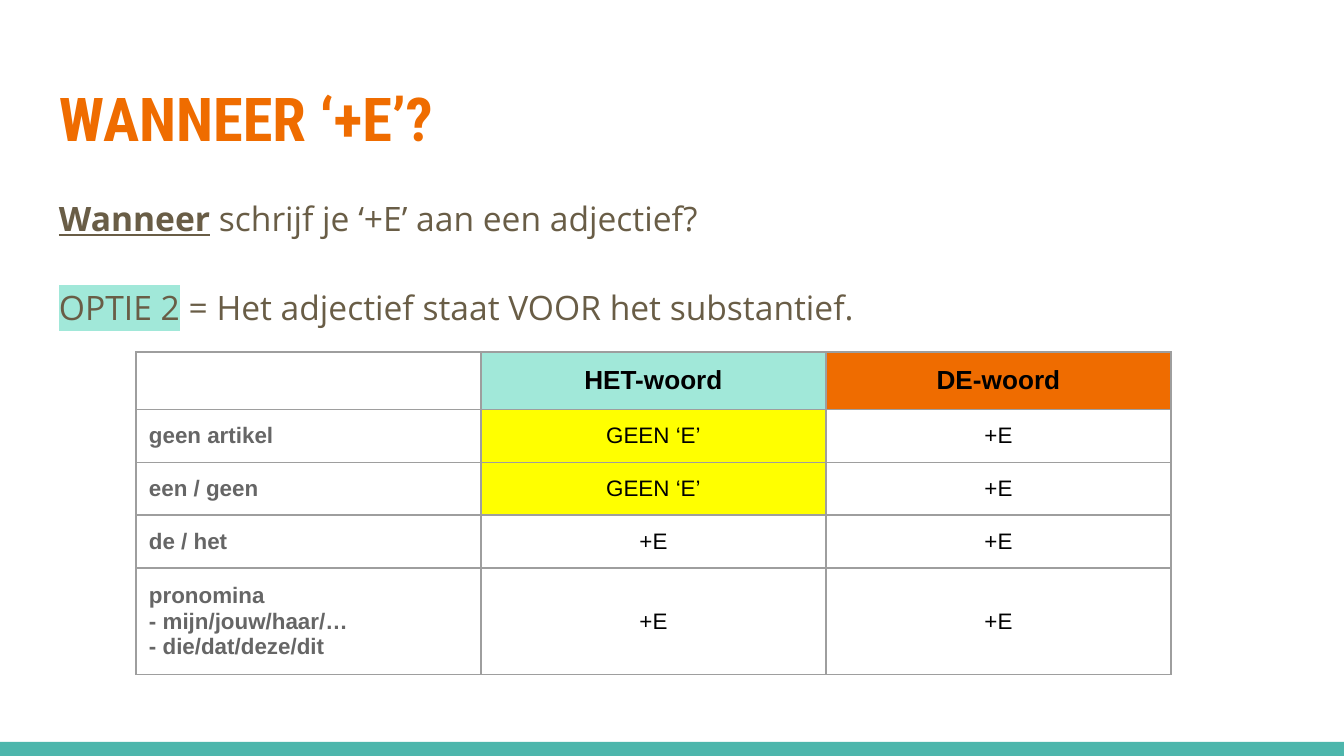
import lxml.etree
import pptx
import pptx.dml.color
import pptx.enum.shapes
import pptx.enum.text
import pptx.oxml
import pptx.oxml.ns
import pptx.util

W, H = 1344, 756
PX = 9144000 / W
PAD = 13
ORANGE, TEAL, MINT, YELLOW = "EF6C00", "4DB6AC", "A1E8D9", "FFFF00"
BROWN, GREY, BLACK, BORDER = "695D46", "666666", "000000", "9E9E9E"
LEFT, CENTER = pptx.enum.text.PP_ALIGN.LEFT, pptx.enum.text.PP_ALIGN.CENTER
MIDDLE = pptx.enum.text.MSO_ANCHOR.MIDDLE

HEADER = [("", None), ("HET-woord", MINT), ("DE-woord", ORANGE)]
ROWS = [
    ("geen artikel", "GEEN ‘E’", "+E"),
    ("een / geen", "GEEN ‘E’", "+E"),
    ("de / het", "+E", "+E"),
    ("pronomina\n- mijn/jouw/haar/…\n- die/dat/deze/dit", "+E", "+E"),
]
ROW_HEIGHTS = [56, 52, 52, 52, 102]


def px(n):
    return pptx.util.Emu(round(n * PX))


def rgb(color):
    return pptx.dml.color.RGBColor.from_string(color)


def sub(parent, tag, **attrs):
    return lxml.etree.SubElement(parent, pptx.oxml.ns.qn(tag), attrs)


def add_run(p, text, font, size, color, bold=False, underline=False, highlight=None):
    r = p.add_run()
    r.text = text
    r.font.size = pptx.util.Pt(size)
    r.font.bold = bold
    if underline:
        r.font.underline = True
    r.font.color.rgb = rgb(color)
    r.font.name = font
    if highlight:
        rpr = r._r.get_or_add_rPr()
        mark = sub(rpr, "a:highlight")
        sub(mark, "a:srgbClr", val=highlight)
        rpr.find(pptx.oxml.ns.qn("a:latin")).addprevious(mark)


def add_textbox(s, x, y, w, h):
    tf = s.shapes.add_textbox(px(x), px(y), px(w), px(h)).text_frame
    tf.word_wrap = True
    tf.margin_left = tf.margin_right = tf.margin_top = tf.margin_bottom = px(PAD)
    return tf


def add_footer_bar(s, x, y, w, h):
    sp = s.shapes.add_shape(pptx.enum.shapes.MSO_SHAPE.RECTANGLE, px(x), px(y), px(w), px(h))
    sp.shadow.inherit = False
    sp.fill.solid()
    sp.fill.fore_color.rgb = rgb(TEAL)
    sp.line.fill.background()


def add_title(s, x, y, w, h):
    tf = add_textbox(s, x, y, w, h)
    tf.vertical_anchor = MIDDLE
    add_run(tf.paragraphs[0], "WANNEER ‘+E’?", "Roboto Condensed", 32.4, ORANGE, bold=True)


def add_body(s, x, y, w, h):
    tf = add_textbox(s, x, y, w, h)
    style = ("Open Sans", 18, BROWN)
    p = tf.paragraphs[0]
    p.line_spacing = 1.15
    add_run(p, "Wanneer", *style, bold=True, underline=True)
    add_run(p, " schrijf je ‘+E’ aan een adjectief?", *style)
    p = tf.add_paragraph()
    p.line_spacing = 1.15
    p.space_before = pptx.util.Pt(23)
    add_run(p, "OPTIE 2", *style, highlight=MINT)
    add_run(p, " = Het adjectief staat VOOR het substantief.", *style)


def fill_cell(cell, text, size, color, bold, align, fill):
    pad = px(PAD if text else 0)
    cell.margin_left = cell.margin_right = cell.margin_top = cell.margin_bottom = pad
    cell.vertical_anchor = MIDDLE
    tcpr = cell._tc.get_or_add_tcPr()
    for side in "LRTB":
        ln = sub(tcpr, f"a:ln{side}", w=str(pptx.util.Pt(0.75)))
        sub(sub(ln, "a:solidFill"), "a:srgbClr", val=BORDER)
    if fill:
        cell.fill.solid()
        cell.fill.fore_color.rgb = rgb(fill)
    else:
        cell.fill.background()
    if not text:
        return
    tf = cell.text_frame
    for i, line in enumerate(text.split("\n")):
        p = tf.add_paragraph() if i else tf.paragraphs[0]
        p.alignment = align
        add_run(p, line, "Arial", size, color, bold)


def add_rule_table(s, x, y, w):
    """Table of adjective endings: one row per article, one column per gender."""
    shape = s.shapes.add_table(len(ROW_HEIGHTS), len(HEADER), px(x), px(y), px(w),
                               px(sum(ROW_HEIGHTS)))
    table = shape.table
    for column in table.columns:
        column.width = px(w / len(HEADER))
    for row, height in zip(table.rows, ROW_HEIGHTS):
        row.height = px(height)
    for j, (text, fill) in enumerate(HEADER):
        fill_cell(table.cell(0, j), text, 14, BLACK, True, CENTER, fill)
    for i, (label, *endings) in enumerate(ROWS, 1):
        fill_cell(table.cell(i, 0), label, 12, GREY, True, LEFT, None)
        for j, ending in enumerate(endings, 1):
            fill = YELLOW if ending.startswith("GEEN") else None
            fill_cell(table.cell(i, j), ending, 12, BLACK, False, CENTER, fill)


def main():
    prs = pptx.Presentation()
    prs.slide_width, prs.slide_height = px(W), px(H)
    s = prs.slides.add_slide(prs.slide_layouts[6])
    add_footer_bar(s, 0, 742, W, 14)
    add_title(s, 46, 66, 1252, 103)
    add_body(s, 46, 179, 1252, 485)
    add_rule_table(s, 136, 352, 1035)
    prs.save("out.pptx")


if __name__ == "__main__":
    main()
